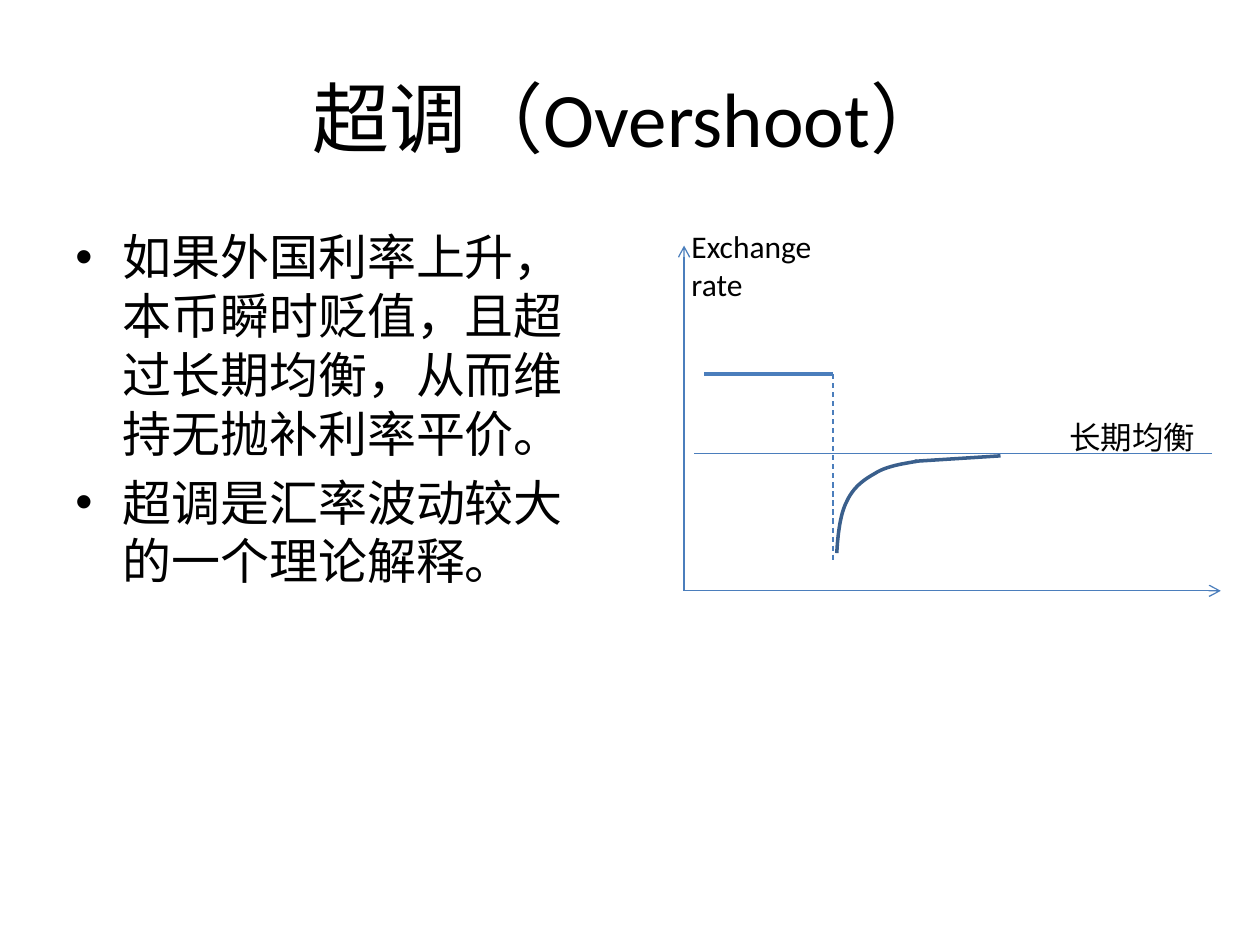
"""Build the exchange-rate overshooting slide."""
from dataclasses import dataclass

from lxml import etree
from pptx import Presentation
from pptx import util as u
from pptx.dml.color import RGBColor
from pptx.enum import dml, shapes, text
from pptx.oxml import ns


@dataclass(frozen=True)
class Theme:
    """Colours and type sizes of the deck."""

    font: str = "Calibri"
    ink: str = "000000"
    paper: str = "FFFFFF"
    axis: str = "4B7EBC"
    curve: str = "3A5F8C"
    title_size: float = 44
    body_size: float = 28
    label_size: float = 18
    thin: float = 0.75
    thick: float = 2


class SlideBuilder:
    """Draw styled elements on the current slide."""

    def __init__(self, deck, theme):
        self.theme = theme
        self.page = deck.slides.add_slide(deck.slide_layouts[5])
        self.page.background.fill.solid()
        self.page.background.fill.fore_color.rgb = RGBColor.from_string(theme.paper)

    def add_span(self, para, words, size):
        """Add one styled run to a paragraph."""
        span = para.add_run()
        span.text = words
        span.font.name = self.theme.font
        span.font.size = u.Pt(size)
        span.font.color.rgb = RGBColor.from_string(self.theme.ink)

    def stroke(self, line, colour, width):
        """Set the colour and width of a line."""
        line.color.rgb = RGBColor.from_string(colour)
        line.width = u.Pt(width)

    def title(self, words, left, top, width, height):
        """Place and fill the title placeholder."""
        box = self.page.shapes.title
        box.left, box.top, box.width, box.height = map(u.Cm, (left, top, width, height))
        box.text_frame.vertical_anchor = text.MSO_ANCHOR.MIDDLE
        para = box.text_frame.paragraphs[0]
        para.alignment = text.PP_ALIGN.CENTER
        self.add_span(para, words, self.theme.title_size)

    def label(self, words, left, top, width, height):
        """Add a wrapped text box and return its frame."""
        box = self.page.shapes.add_textbox(*map(u.Cm, (left, top, width, height)))
        box.text_frame.word_wrap = True
        if words:
            self.add_span(box.text_frame.paragraphs[0], words, self.theme.label_size)
        return box.text_frame

    def bullets(self, items, left, top, width, height, indent=0.95):
        """Add a bulleted list."""
        frame = self.label("", left, top, width, height)
        for index, words in enumerate(items):
            para = frame.add_paragraph() if index else frame.paragraphs[0]
            properties = para._p.get_or_add_pPr()
            properties.set("marL", str(u.Cm(indent)))
            properties.set("indent", str(-u.Cm(indent)))
            etree.SubElement(properties, ns.qn("a:buFont"), typeface="Arial")
            etree.SubElement(properties, ns.qn("a:buChar"), char="•")
            if index:
                para.space_before = u.Pt(0.2 * self.theme.body_size)
            self.add_span(para, words, self.theme.body_size)

    def line(self, start, end, width=None, dashed=False, arrow=False):
        """Add a straight line, optionally dashed or with an arrowhead."""
        link = self.page.shapes.add_connector(
            shapes.MSO_CONNECTOR.STRAIGHT, *map(u.Cm, (*start, *end)))
        self.stroke(link.line, self.theme.axis, width or self.theme.thin)
        if dashed:
            link.line.dash_style = dml.MSO_LINE.DASH
        if arrow:
            etree.SubElement(link.line._get_or_add_ln(), ns.qn("a:tailEnd"), type="arrow")
        etree.SubElement(link._element.spPr, ns.qn("a:effectLst"))

    def outline(self, points):
        """Add an open, unfilled outline through the points."""
        start, *rest = [tuple(map(u.Cm, point)) for point in points]
        builder = self.page.shapes.build_freeform(*start)
        builder.add_line_segments(rest, close=False)
        shape = builder.convert_to_shape()
        shape.shadow.inherit = False
        shape.fill.background()
        self.stroke(shape.line, self.theme.curve, self.theme.thick)


def bezier(knots, steps=12):
    """Sample a chain of cubic Bézier segments."""
    points = [knots[0]]
    for first in range(0, len(knots) - 1, 3):
        segment = knots[first:first + 4]
        for step in range(1, steps + 1):
            t = step / steps
            weights = ((1 - t) ** 3, 3 * t * (1 - t) ** 2, 3 * t ** 2 * (1 - t), t ** 3)
            points.append(tuple(sum(w * knot[axis] for w, knot in zip(weights, segment))
                                for axis in (0, 1)))
    return points


def main():
    """Build and save the deck."""
    deck = Presentation()
    deck.slide_width, deck.slide_height = u.Cm(25.4), u.Cm(19.05)
    theme = Theme()
    slide = SlideBuilder(deck, theme)

    slide.title("超调（Overshoot）", 1.27, 0.76, 22.86, 3.18)
    slide.bullets(("如果外国利率上升，本币瞬时贬值，且超过长期均衡，从而维持无抛补利率平价。",
                   "超调是汇率波动较大的一个理论解释。"), 1.27, 4.45, 11.23, 12.57)

    origin = (13.79, 11.91)
    shock_x, initial_y, equilibrium_y = 16.79, 7.54, 9.14
    slide.line(origin, (24.61, origin[1]), arrow=True)
    slide.line(origin, (origin[0], 4.95), arrow=True)
    slide.line((14, equilibrium_y), (24.43, equilibrium_y))
    slide.line((14.2, initial_y), (shock_x, initial_y), width=theme.thick)
    slide.line((shock_x, initial_y), (shock_x, 11.35), dashed=True)

    slide.outline(bezier((
        (16.87, 11.15), (16.89, 10.77), (16.94, 10.36), (17.07, 10.11),
        (17.2, 9.83), (17.4, 9.68), (17.63, 9.55),
        (17.86, 9.4), (18.19, 9.35), (18.49, 9.3))))
    slide.outline(((18.44, 9.3), (20.17, 9.19)))

    slide.label("长期均衡", 21.31, 8.31, 3.48, 1.02)
    slide.label("Exchange rate", 13.69, 4.45, 3.61, 1.8)
    deck.save("out.pptx")


if __name__ == "__main__":
    main()
